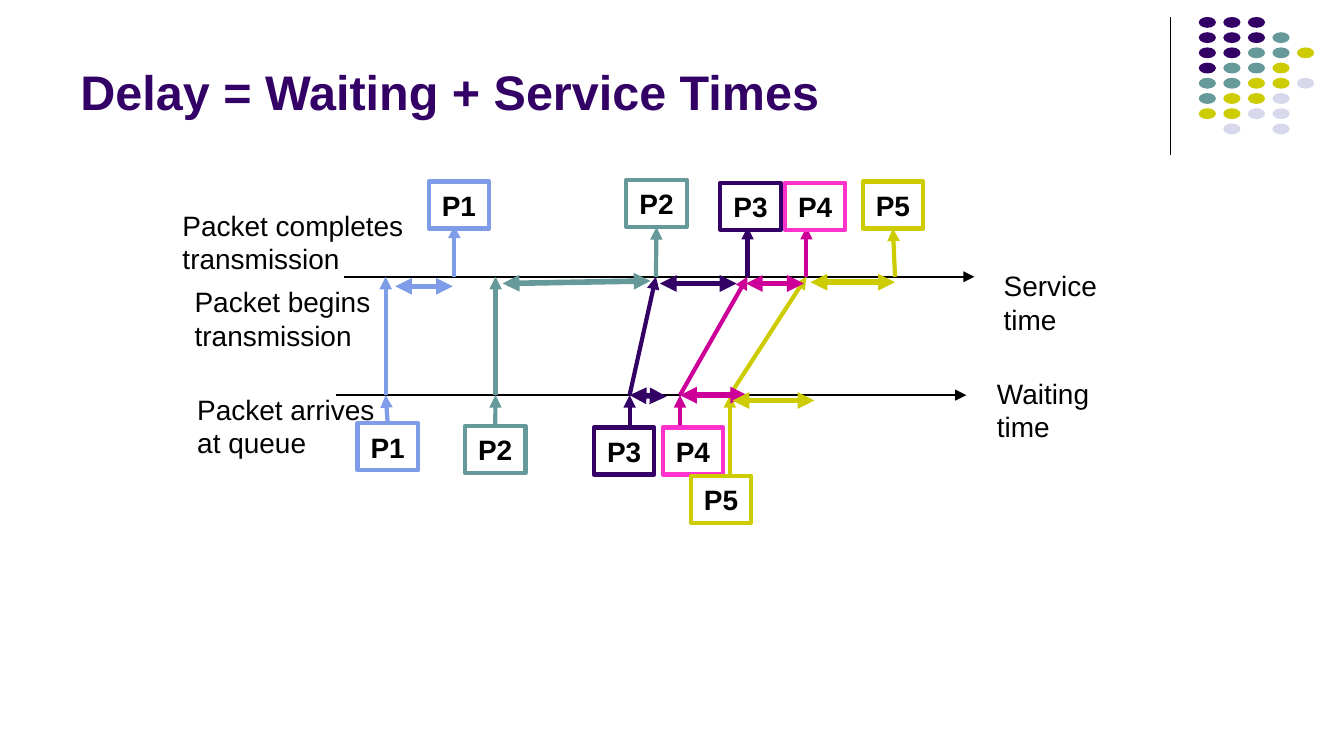
from lxml.etree import SubElement
from pptx import Presentation
from pptx.dml.color import RGBColor
from pptx.enum.shapes import MSO_CONNECTOR, MSO_SHAPE
from pptx.enum.text import MSO_ANCHOR, PP_ALIGN
from pptx.oxml.ns import qn
from pptx.util import Pt

# ---- Content (lengths in points) ----
TITLE = ("Delay = Waiting + Service Times", (36, 7.2, 594, 60.5))

LABELS = [  # lines, (left, top, width, height)
    (("Packet arrives", "at queue"), (98.6, 206.6, 114, 43.2)),
    (("Packet begins", "transmission"), (97.2, 149, 114, 43.2)),
    (("Packet completes", "transmission"), (90.7, 108, 138, 43.2)),
    (("Service", "time"), (530.6, 140.4, 70, 43.2)),
    (("Waiting", "time"), (527, 198, 70, 43.2)),
]

WAITING_Y, SERVICE_Y = 211.7, 148.3
AXES = [(180, WAITING_Y, 517.7, WAITING_Y), (184.3, SERVICE_Y, 522, SERVICE_Y)]

# Service of a packet begins on arrival or when the previous packet completes.
PACKETS = [
    dict(name="P1", color="blue", border="blue", arrive=206.6, complete=243.4,
         queue_box=(191.5, 226.8), done_box=(229.7, 97.2),
         spans=[(211.7, 153.4, 242.6, 153.4)]),
    dict(name="P2", color="teal", border="teal", arrive=265.5, complete=351.4,
         queue_box=(249.1, 228.2), done_box=(335.5, 96.5),
         spans=[(269.3, 151.9, 348.5, 150.5)]),
    dict(name="P3", color="purple", border="purple", arrive=337.3, complete=400.5,
         queue_box=(318.2, 229), done_box=(385.9, 97.9),
         spans=[(337.3, 211.7, 357.1, 212.4), (353.5, 151.9, 394.6, 151.9)]),
    dict(name="P4", color="magenta", border="pink", arrive=364.3, complete=432,
         queue_box=(355, 229), done_box=(420.5, 97.9),
         spans=[(364.3, 211.7, 400.3, 211.7), (399.6, 151.9, 430.6, 151.9)]),
    dict(name="P5", color="yellow", border="yellow", arrive=391, complete=479.5,
         queue_box=(370.1, 254.9), done_box=(462.2, 97.2),
         spans=[(392.4, 214.6, 436.3, 214.6), (434.2, 151.2, 479.5, 151.2)]),
]
BOX_WIDTH, BOX_HEIGHT = 32.4, 25.2

DOT_COLORS = {"P": "purple", "T": "teal", "Y": "yellow", "L": "lilac"}
DOT_ROWS = ["PPP", "PPPT", "PPTTY", "PTTY", "TTYYL", "TYYL", "YYLL", " L L"]
DOT_LEFT, DOT_TOP, DOT_STEP_X, DOT_STEP_Y = 642.2, 9.1, 13.15, 8.15
DOT_WIDTH, DOT_HEIGHT = 9.2, 5.8
RULE = (627.2, 9.3, 627.2, 82.8)

THEME = dict(
    font="Arial",
    sizes=dict(title=26, body=15),
    lines=dict(rule=0.75, axis=1, packet=2.25, span=3),
    colors=dict(black="000000", white="FFFFFF", purple="330066", teal="669999",
                yellow="CCCC00", lilac="D8D8EC", blue="7E9CE8",
                magenta="CC0099", pink="FF33CC"),
)


def color(name):
    return RGBColor.from_string(THEME["colors"][name])


def points(lengths):
    return [Pt(length) for length in lengths]


def set_all(target, values):
    for name, value in values.items():
        setattr(target, name, value)


def add_line(page, ends, color_name, weight, heads=()):
    line = page.shapes.add_connector(MSO_CONNECTOR.STRAIGHT, *points(ends))
    line.line.color.rgb = color(color_name)
    line.line.width = Pt(THEME["lines"][weight])
    outline = line.element.spPr.find(qn("a:ln"))
    for head in heads:  # headEnd must come before tailEnd
        SubElement(outline, qn("a:" + head), type="triangle")
    SubElement(line.element.spPr, qn("a:effectLst"))
    return line


def add_shape(page, kind, bounds, fill, border=None):
    shape = page.shapes.add_shape(kind, *points(bounds))
    shape.shadow.inherit = False
    shape.fill.solid()
    shape.fill.fore_color.rgb = color(fill)
    if border:
        shape.line.color.rgb = color(border)
        shape.line.width = Pt(THEME["lines"]["packet"])
    else:
        shape.line.fill.background()
    return shape


def write(box, lines, size="body", ink="black", bold=False, wrap=True,
          align=PP_ALIGN.LEFT, anchor=MSO_ANCHOR.TOP):
    frame = box.text_frame
    set_all(frame, dict(word_wrap=wrap, vertical_anchor=anchor,
                        margin_left=Pt(7.2), margin_right=Pt(7.2),
                        margin_top=Pt(3.6), margin_bottom=Pt(3.6)))
    for index, text in enumerate(lines):
        para = frame.add_paragraph() if index else frame.paragraphs[0]
        para.alignment = align
        span = para.add_run()
        span.text = text
        set_all(span.font, dict(name=THEME["font"], bold=bold,
                                size=Pt(THEME["sizes"][size])))
        span.font.color.rgb = color(ink)


def add_packet_box(page, packet, corner):
    box = add_shape(page, MSO_SHAPE.RECTANGLE, (*corner, BOX_WIDTH, BOX_HEIGHT),
                    "white", packet["border"])
    write(box, [packet["name"]], bold=True, wrap=False, align=PP_ALIGN.CENTER,
          anchor=MSO_ANCHOR.MIDDLE)
    return box


def is_centred(x, corner):
    return abs(x - corner[0] - BOX_WIDTH / 2) < 1.5


deck = Presentation()
deck.slide_width, deck.slide_height = Pt(720), Pt(405)
page = deck.slides.add_slide(deck.slide_layouts[6])

# Corner decoration
add_line(page, RULE, "black", "rule")
for row, marks in enumerate(DOT_ROWS):
    for column, mark in enumerate(marks):
        if mark in DOT_COLORS:
            add_shape(page, MSO_SHAPE.OVAL,
                      (DOT_LEFT + column * DOT_STEP_X, DOT_TOP + row * DOT_STEP_Y,
                       DOT_WIDTH, DOT_HEIGHT), DOT_COLORS[mark])

# Title and labels
text, bounds = TITLE
write(page.shapes.add_textbox(*points(bounds)), [text], size="title", ink="purple",
      bold=True, anchor=MSO_ANCHOR.BOTTOM)
for lines, bounds in LABELS:
    write(page.shapes.add_textbox(*points(bounds)), lines)

# Time axes
for ends in AXES:
    add_line(page, ends, "black", "axis", ["tailEnd"])

# Packet arrows: arrival, start of service, completion
journeys = []
previous = 0
for packet in PACKETS:
    arrive, complete = packet["arrive"], packet["complete"]
    begin = max(arrive, previous)
    queue_top = packet["queue_box"][1]
    done_bottom = packet["done_box"][1] + BOX_HEIGHT
    arrival, service, completion = [
        add_line(page, ends, packet["color"], "packet", ["tailEnd"])
        for ends in [(arrive, queue_top, arrive, WAITING_Y),
                     (arrive, WAITING_Y, begin, SERVICE_Y),
                     (complete, SERVICE_Y, complete, done_bottom - 1.5)]]
    journeys.append((packet, arrival, completion))
    previous = complete

# Waiting and service durations
for packet in PACKETS:
    for ends in packet["spans"]:
        add_line(page, ends, packet["color"], "span", ["headEnd", "tailEnd"])

# Packet boxes, joined to the arrows that meet them at mid-side
for packet, arrival, completion in journeys:
    queue_box = add_packet_box(page, packet, packet["queue_box"])
    done_box = add_packet_box(page, packet, packet["done_box"])
    if is_centred(packet["arrive"], packet["queue_box"]):
        arrival.begin_connect(queue_box, 0)
    if is_centred(packet["complete"], packet["done_box"]):
        completion.end_connect(done_box, 2)

deck.save("out.pptx")
